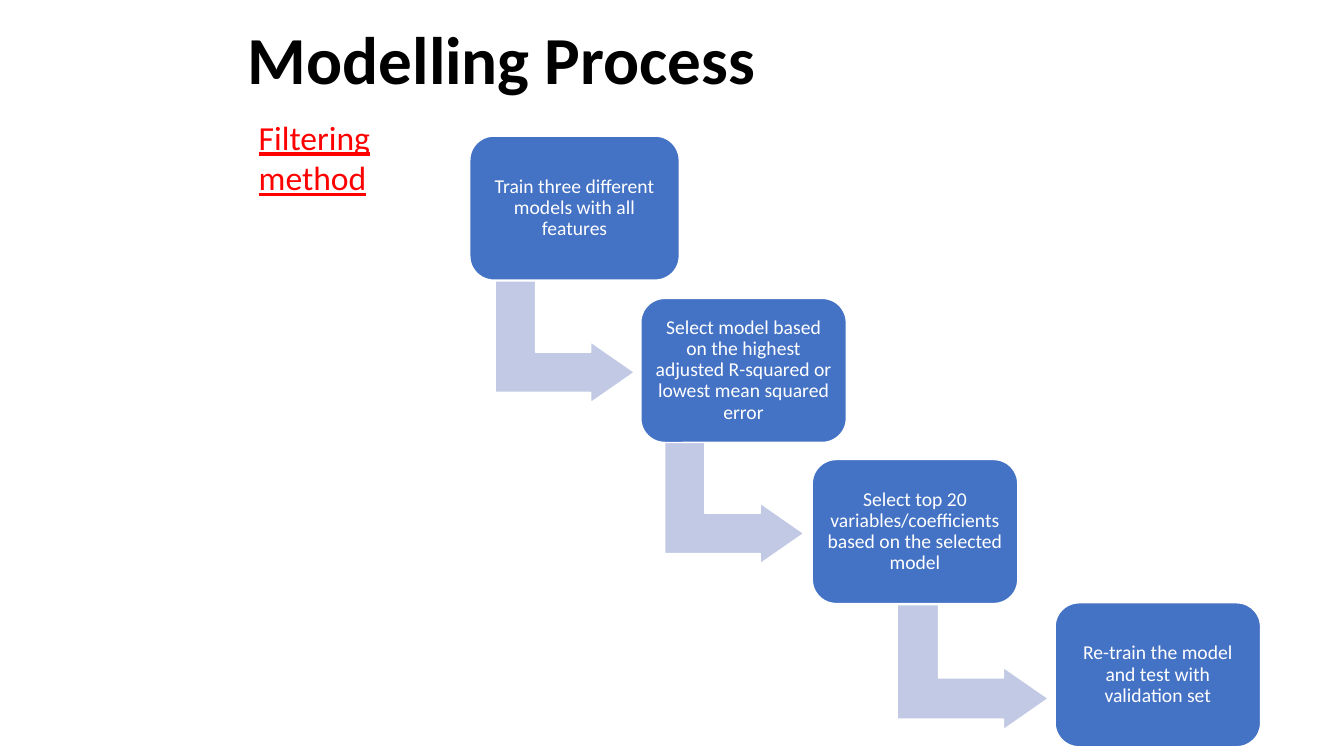
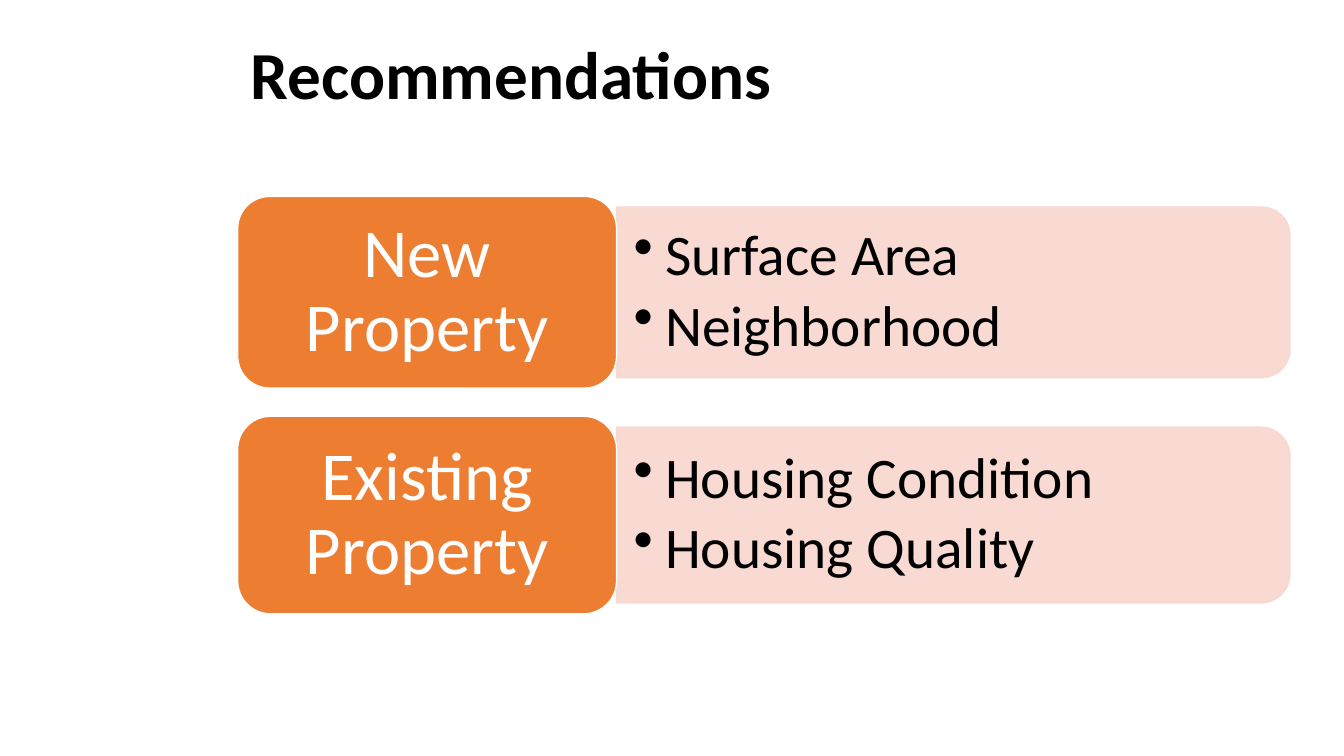
from lxml import etree
from pptx import Presentation
from pptx import util as u
from pptx.dml.color import RGBColor
from pptx.enum import shapes, text
from pptx.oxml.ns import qn

Cm, Pt = u.Cm, u.Pt
KIND = shapes.MSO_SHAPE
MID, CENTER = text.MSO_ANCHOR.MIDDLE, text.PP_ALIGN.CENTER
HUES = {"black": "000000", "white": "FFFFFF", "red": "FF0000", "blue": "4472C4",
        "pale": "C1C9E4", "orange": "ED7D31", "peach": "F8D7CE"}


def draw(slide, kind, at, fill, line="white", opaque=100):
    """Add a preset shape; at is left, top, width, height in cm."""
    shape = slide.shapes.add_shape(kind, *map(Cm, at))
    shape.shadow.inherit = False
    shape.fill.solid()
    shape.line.width = Pt(1)
    for paint, hue in ((shape.fill.fore_color, fill), (shape.line.color, line)):
        paint.rgb = RGBColor.from_string(HUES[hue])
    if opaque < 100:
        for tone in shape._element.spPr.iter(qn("a:srgbClr")):
            etree.SubElement(tone, qn("a:alpha"), val=str(opaque * 1000))
    return shape


def write(shape, lines, size, hue, pad, align=None, anchor=None, after=0,
          lead=0.9, bullet=False, bold=None, under=None):
    """Fill a shape with paragraphs; pad is the side and the top inset in cm."""
    frame = shape.text_frame
    frame.word_wrap = True
    frame.vertical_anchor = anchor
    frame.margin_left = frame.margin_right = Cm(pad[0])
    frame.margin_top = frame.margin_bottom = Cm(pad[1])
    for i, words in enumerate(lines):
        para = frame.add_paragraph() if i else frame.paragraphs[0]
        para.text = words
        para.alignment = align
        para.line_spacing = lead
        para.space_after = Pt(after)
        if bullet:
            props = para._p.get_or_add_pPr()
            props.set("marL", str(Cm(0.79)))
            props.set("indent", str(-Cm(0.79)))
            etree.SubElement(props, qn("a:buChar"), char="•")
        font = para.font
        font.name, font.size = "Calibri", Pt(size)
        font.bold, font.underline = bold, under
        font.color.rgb = RGBColor.from_string(HUES[hue])


deck = Presentation()
deck.slide_width, deck.slide_height = Cm(33.87), Cm(19.05)

# Slides and titles
pages = []
for title, left, top in (("Modelling Process", 5.92, 0.33),
                         ("Recommendations", 5.99, 0.71)):
    page = deck.slides.add_slide(deck.slide_layouts[6])
    box = page.shapes.add_textbox(Cm(left), Cm(top), Cm(33.87 - left), Cm(2.31))
    write(box, [title], 48, "black", (0.33, 0.33), bold=True)
    pages.append(page)
process, advice = pages

# Modelling steps, each with the arrow that leads on from it
note = process.shapes.add_textbox(Cm(6.27), Cm(2.82), Cm(5.08), Cm(2.31))
write(note, ["Filtering method"], 24, "red", (0.25, 0.13), lead=1, under=True)

STEPS = [
    ("Train three different models with all features",
     (11.84, 3.43, 5.28), (12.7, 6.86, 3.07, 3.51)),
    ("Select model based on the highest adjusted R-squared or lowest mean squared error",
     (16.15, 7.52, 5.18), (16.97, 10.92, 3.07, 3.51)),
    ("Select top 20 variables/coefficients based on the selected model",
     (20.47, 11.58, 5.18), (22.94, 14.91, 3.15, 3.81)),
    ("Re-train the model and test with validation set",
     (26.59, 15.19, 5.18), None),
]
for words, spot, turn in STEPS:
    if turn:
        arrow = draw(process, KIND.BENT_UP_ARROW, turn, "pale")
        arrow.rotation = 90
        for i, value in enumerate((0.33, 0.25, 0.36)):
            arrow.adjustments[i] = value
    step = draw(process, KIND.ROUNDED_RECTANGLE, (*spot, 3.63), "blue")
    write(step, [words], 14, "white", (0.15, 0.15), CENTER, MID)

# Recommendation rows: a label and a bar centred on it
LEFT, WIDE, LONG = 5.99, 9.55, 16.97
EDGE = LEFT + WIDE
ROWS = [
    ("New Property", ["Surface Area", "Neighborhood"], 4.95, 4.83),
    ("Existing Property", ["Housing Condition", "Housing Quality"], 10.49, 4.98),
]
for name, items, top, high in ROWS:
    slim = 0.89 * high
    mid = top + high / 2
    bar = draw(advice, KIND.ROUND_2_SAME_RECTANGLE,
               (EDGE + (LONG - slim) / 2, mid - LONG / 2, slim, LONG),
               "peach", "peach", 90)
    bar.rotation = 90
    box = advice.shapes.add_textbox(Cm(EDGE), Cm(mid - slim / 2), Cm(LONG), Cm(slim))
    write(box, items, 41, "black", (0.43, 0.23), anchor=MID, after=6, bullet=True)
    label = draw(advice, KIND.ROUNDED_RECTANGLE, (LEFT, top, WIDE, high), "orange")
    write(label, [name], 49, "white", (0.5, 0.25), CENTER, MID)

deck.save("out.pptx")
